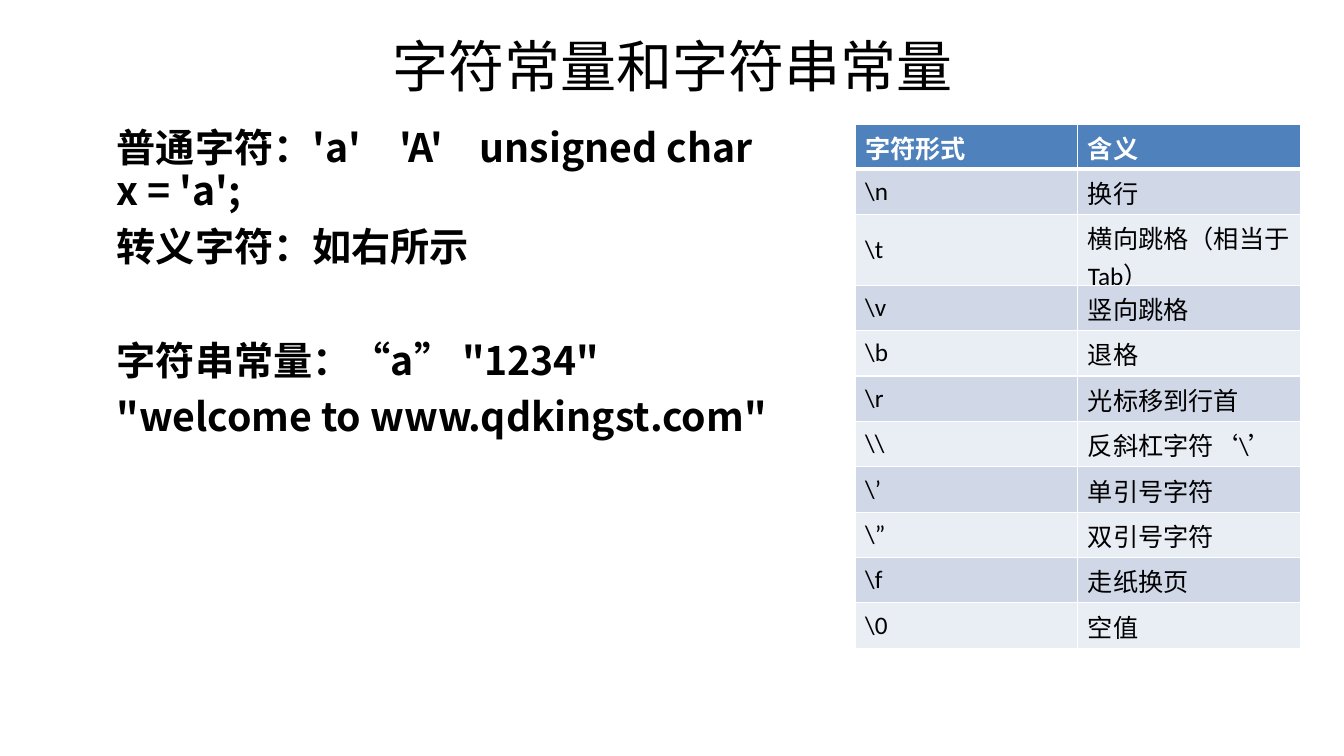
from dataclasses import dataclass

from lxml import etree
from pptx import Presentation
from pptx.dml.color import RGBColor
from pptx.enum.text import MSO_ANCHOR, PP_ALIGN
from pptx.oxml.ns import qn
from pptx.util import Inches, Pt

MIDDLE, TOP = MSO_ANCHOR.MIDDLE, MSO_ANCHOR.TOP
CENTER, LEFT = PP_ALIGN.CENTER, PP_ALIGN.LEFT
TITLE_ONLY = 5


@dataclass(frozen=True)
class Theme:
    cjk: str = "Noto Sans CJK SC"
    latin: str = "Calibri"
    ink: str = "000000"
    white: str = "FFFFFF"
    header: str = "4F81BD"
    bands: tuple = ("D0D8E8", "E9EDF4")
    title_size: int = 40
    body_size: int = 28
    table_size: int = 18
    rule: int = 1
    header_rule: int = 3


THEME = Theme()

TITLE = "字符常量和字符串常量"

# Each line with its space before, in points
NOTES = [
    ("普通字符：'a'\t'A'\tunsigned char x = 'a';", 0),
    ("转义字符：如右所示", 10),
    ("字符串常量：“a” \"1234\"", 51),
    ("\"welcome to www.qdkingst.com\"", 10),
]
NOTE_TABS = (2.8, 3.6)

ESCAPES = [
    ("字符形式", "含义"),
    ("\\n", "换行"),
    ("\\t", "横向跳格（相当于Tab）"),
    ("\\v", "竖向跳格"),
    ("\\b", "退格"),
    ("\\r", "光标移到行首"),
    ("\\\\", "反斜杠字符‘\\’"),
    ("\\’", "单引号字符"),
    ("\\”", "双引号字符"),
    ("\\f", "走纸换页"),
    ("\\0", "空值"),
]
COLUMN_WIDTH = 2.21
ROW_HEIGHT, TALL_ROW_HEIGHT = 0.45, 0.7
TALL_ROW = 2


def write_text(para, text, *, size, font=THEME.cjk, color=THEME.ink, bold=False,
               align=LEFT, line_spacing=None, space_before=0, tabs=()):
    if tabs:
        tab_list = etree.SubElement(para._p.get_or_add_pPr(), qn("a:tabLst"))
        for position in tabs:
            etree.SubElement(tab_list, qn("a:tab"), pos=str(Inches(position)), algn="l")
    para.alignment = align
    para.space_before = Pt(space_before)
    if line_spacing:
        para.line_spacing = line_spacing
    span = para.add_run()
    span.text = text
    span.font.size = Pt(size)
    span.font.bold = bold
    span.font.color.rgb = RGBColor.from_string(color)
    span.font.name = font
    etree.SubElement(span.font._element, qn("a:ea"), typeface=THEME.cjk)


def add_title(slide):
    title = slide.shapes.title
    title.left, title.top = Inches(0.67), Inches(0.3)
    title.width, title.height = Inches(12), Inches(0.77)
    title.text_frame.vertical_anchor = MIDDLE
    write_text(title.text_frame.paragraphs[0], TITLE, size=THEME.title_size,
               align=CENTER, line_spacing=0.9)


def add_notes(slide):
    box = slide.shapes.add_textbox(Inches(1.06), Inches(1.23), Inches(6.72), Inches(6.27))
    frame = box.text_frame
    frame.word_wrap = True
    frame.vertical_anchor = TOP
    for index, (text, space_before) in enumerate(NOTES):
        para = frame.add_paragraph() if index else frame.paragraphs[0]
        write_text(para, text, size=THEME.body_size, bold=True, line_spacing=0.9,
                   space_before=space_before, tabs=NOTE_TABS if "\t" in text else ())


def set_borders(cell, **widths):
    """Draw white borders; widths are points keyed by side: L, R, T, B."""
    properties = cell._tc.get_or_add_tcPr()
    for side, width in widths.items():
        line = etree.SubElement(properties, qn(f"a:ln{side}"), w=str(Pt(width)))
        fill = etree.SubElement(line, qn("a:solidFill"))
        etree.SubElement(fill, qn("a:srgbClr"), val=THEME.white)


def format_cell(cell, text, row):
    is_header = row == 0
    set_borders(cell, L=THEME.rule, R=THEME.rule,
                T=THEME.header_rule if row == 1 else THEME.rule,
                B=THEME.header_rule if is_header else THEME.rule)
    cell.fill.solid()
    color = THEME.header if is_header else THEME.bands[(row - 1) % 2]
    cell.fill.fore_color.rgb = RGBColor.from_string(color)
    cell.vertical_anchor = MIDDLE
    write_text(cell.text_frame.paragraphs[0], text, size=THEME.table_size,
               font=THEME.latin, bold=is_header,
               color=THEME.white if is_header else THEME.ink)


def add_escape_table(slide):
    column_count = len(ESCAPES[0])
    height = ROW_HEIGHT * (len(ESCAPES) - 1) + TALL_ROW_HEIGHT
    table = slide.shapes.add_table(
        len(ESCAPES), column_count, Inches(8.48), Inches(1.23),
        Inches(COLUMN_WIDTH * column_count), Inches(height)).table
    for column in table.columns:
        column.width = Inches(COLUMN_WIDTH)
    for row, texts in enumerate(ESCAPES):
        table.rows[row].height = Inches(TALL_ROW_HEIGHT if row == TALL_ROW else ROW_HEIGHT)
        for column, text in enumerate(texts):
            format_cell(table.cell(row, column), text, row)


def main():
    deck = Presentation()
    deck.slide_width, deck.slide_height = Inches(13.33), Inches(7.5)
    slide = deck.slides.add_slide(deck.slide_layouts[TITLE_ONLY])
    add_title(slide)
    add_notes(slide)
    add_escape_table(slide)
    deck.save("out.pptx")


if __name__ == "__main__":
    main()
